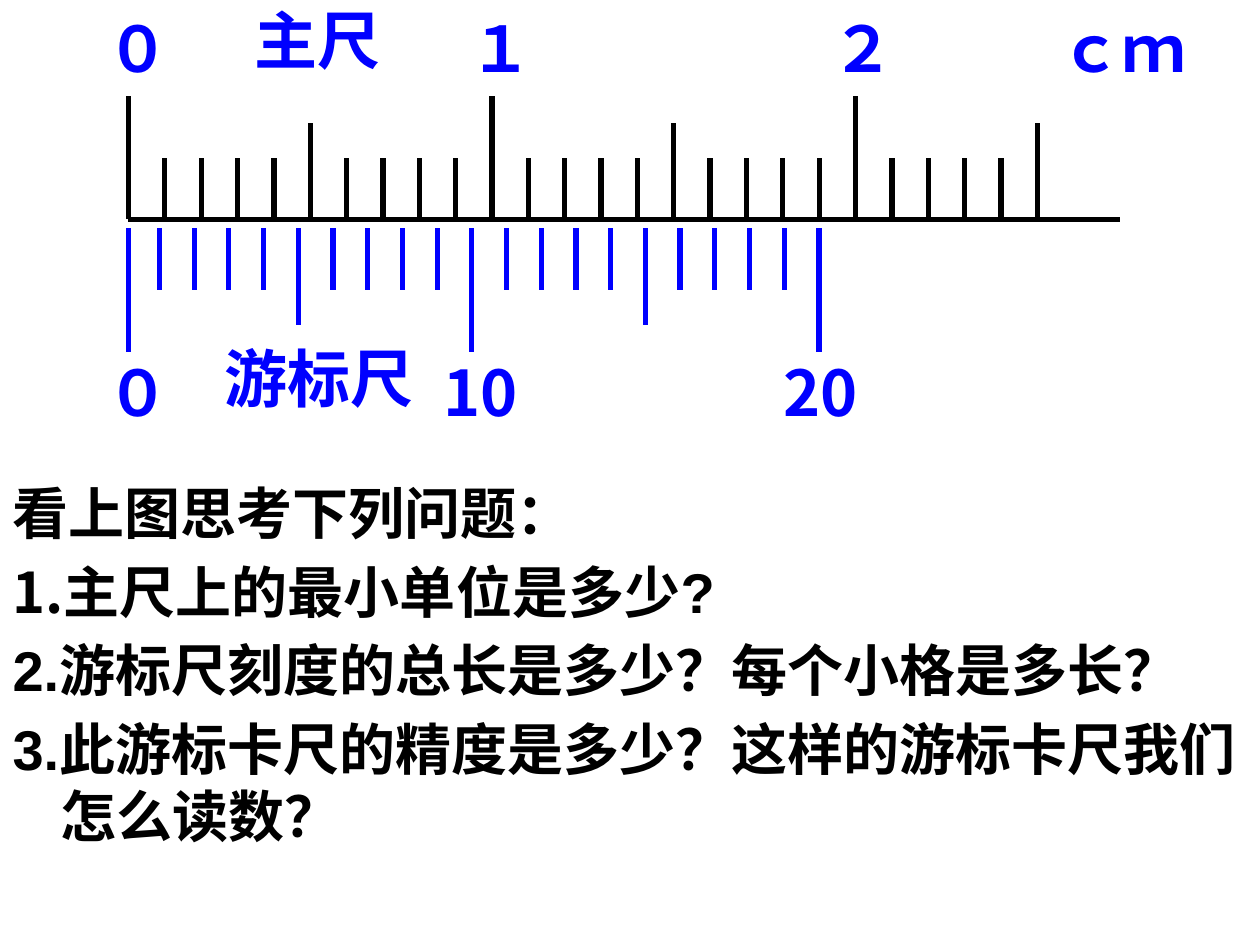
from lxml import etree
from pptx import Presentation
from pptx import util as u
from pptx.dml.color import RGBColor
from pptx.enum import shapes, text
from pptx.oxml.ns import qn

FONT = "Noto Sans CJK SC"
BLACK, BLUE = "000000", "0000FF"
LEFT = 1.02
BASE, TOP = 1.74, 1.81          # edges of the main and the vernier scale
MAIN_STEP = 0.2885
VERN_STEP, VERN_END = 0.2755, 6.5
MAIN_LENS = (0.98, 0.76, 0.49)  # tenth, fifth and plain marks
VERN_LENS = (0.98, 0.77, 0.49)

LABELS = [  # text, left, top, width
    ("主尺", 1.92, 0, 1.24),
    ("０", 0.75, 0.06, 0.96),
    ("１", 3.63, 0.06, 0.96),
    ("２", 6.5, 0.06, 0.96),
    ("ｃｍ", 8.31, 0.06, 1.25),
    ("游标尺", 1.68, 2.68, 1.79),
    ("０", 0.75, 2.79, 0.96),
    ("10", 3.42, 2.79, 0.94),
    ("20", 6.12, 2.79, 0.84),
]
LINES = [  # each paragraph is a list of (text, Latin font)
    [("看上图思考下列问题：", FONT)],
    [("1.", FONT), ("主尺上的最小单位是多少?", "Arial")],
    [("2.游标尺刻度的总长是多少？每个小格是多长？", "Arial")],
    [("3.此游标卡尺的精度是多少？这样的游标卡尺我们怎么读数？", "Arial")],
]


def color(code):
    return RGBColor.from_string(code)


def write(para, words, size=32, ink=BLACK, font=FONT):
    run = para.add_run()
    run.text = words
    run.font.size = u.Pt(size)
    run.font.bold = True
    run.font.name = font
    run.font.color.rgb = color(ink)
    east = etree.SubElement(run.font._element, qn("a:ea"))
    east.set("typeface", FONT)


def line(slide, x1, y1, x2, y2, ink):
    ends = [u.Inches(v) for v in (x1, y1, x2, y2)]
    rule = slide.shapes.add_connector(shapes.MSO_CONNECTOR.STRAIGHT, *ends)
    rule.line.color.rgb = color(ink)
    rule.line.width = u.Pt(3)
    etree.SubElement(rule._element.spPr, qn("a:effectLst"))


def scale(slide, xs, edge, way, lens, ink):
    """Draw marks at xs; way is -1 for up and 1 for down."""
    for i, x in enumerate(xs):
        size = lens[0] if i % 10 == 0 else lens[1] if i % 5 == 0 else lens[2]
        line(slide, x, edge, x, edge + way * size, ink)


def label(slide, words, left, top, width):
    box = slide.shapes.add_textbox(
        u.Inches(left), u.Inches(top), u.Inches(width), u.Inches(0.63))
    frame = box.text_frame
    frame.word_wrap = True
    frame.vertical_anchor = text.MSO_ANCHOR.MIDDLE
    para = frame.paragraphs[0]
    para.alignment = text.PP_ALIGN.JUSTIFY
    write(para, words, size=36, ink=BLUE)


def fill(body):
    """Place the body placeholder and write the questions with hanging indents."""
    body.left, body.top = u.Inches(0), u.Inches(3.75)
    body.width, body.height = u.Inches(10), u.Inches(4.02)
    frame = body.text_frame
    frame.auto_size = text.MSO_AUTO_SIZE.NONE
    for i, runs in enumerate(LINES):
        para = frame.add_paragraph() if i else frame.paragraphs[0]
        para.line_spacing = u.Pt(38.4)
        para.space_before = u.Pt(6.4)
        props = para._p.get_or_add_pPr()
        props.set("marL", str(u.Inches(0.38)))
        props.set("indent", str(-u.Inches(0.38)))
        etree.SubElement(props, qn("a:buNone"))
        for words, font in runs:
            write(para, words, font=font)


def main():
    deck = Presentation()
    deck.slide_width, deck.slide_height = u.Inches(10), u.Inches(7.5)
    slide = deck.slides.add_slide(deck.slide_layouts[1])
    title = slide.shapes.title._element
    title.getparent().remove(title)
    fill(slide.placeholders[1])

    line(slide, LEFT, BASE, 8.89, BASE, BLACK)
    marks = [LEFT + i * MAIN_STEP for i in range(26)]
    scale(slide, marks, BASE, -1, MAIN_LENS, BLACK)
    marks = [LEFT] + [VERN_END - i * VERN_STEP for i in range(19, -1, -1)]
    scale(slide, marks, TOP, 1, VERN_LENS, BLUE)
    for item in LABELS:
        label(slide, *item)
    deck.save("out.pptx")


if __name__ == "__main__":
    main()
